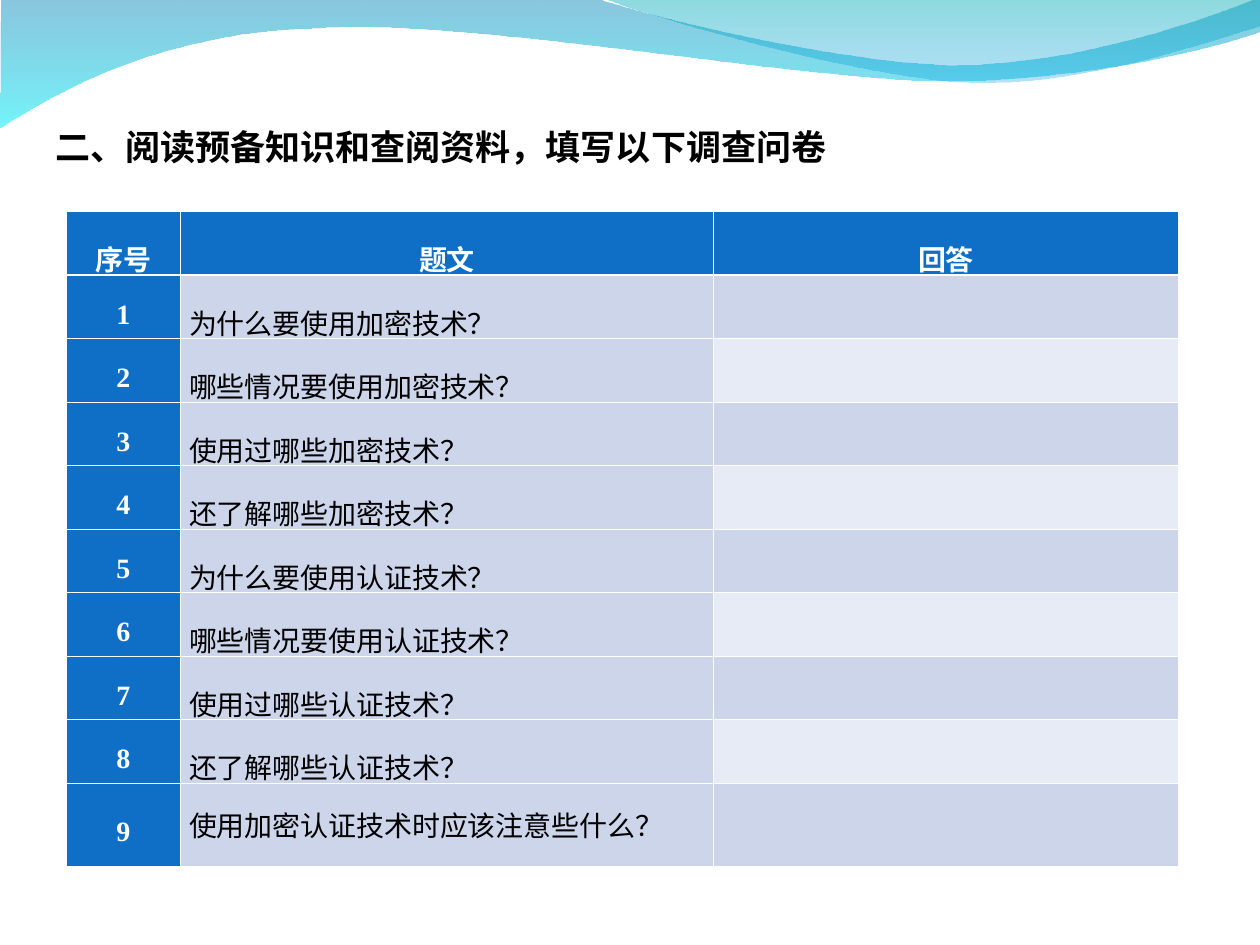
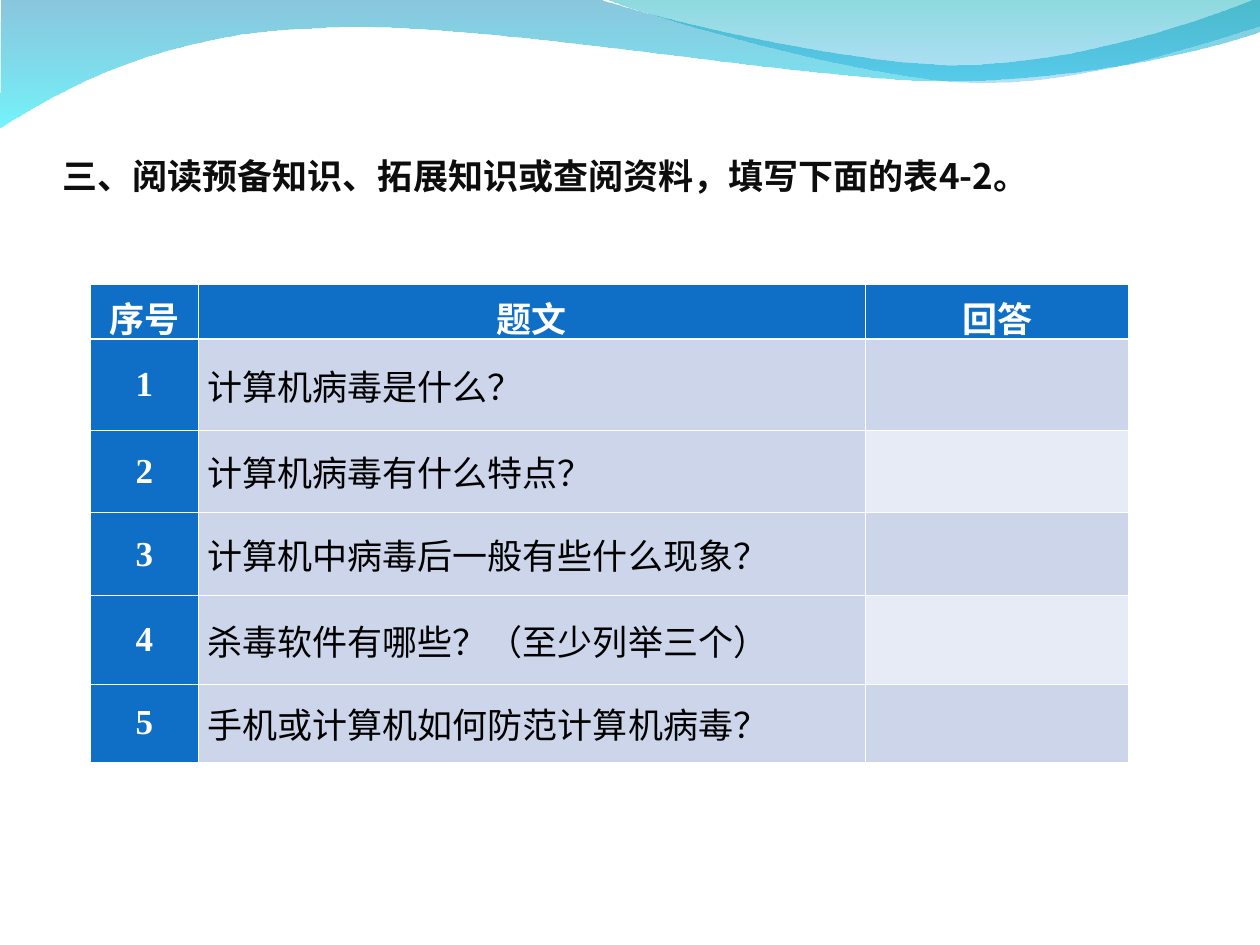
from lxml.etree import SubElement
from pptx import Presentation
from pptx.dml.color import RGBColor
from pptx.enum.text import MSO_ANCHOR as Anchor, MSO_AUTO_SIZE as AutoSize, PP_ALIGN as Align
from pptx.oxml import parse_xml
from pptx.oxml.ns import nsdecls, qn
from pptx.util import Cm, Pt

# Content
HEADINGS = ("序号", "题文", "回答")
SURVEYS = [
    {
        "title": "二、阅读预备知识和查阅资料，填写以下调查问卷",
        "title_box": (0.86, 1.98, 22.91, 1.52),
        "title_insets": (0.25, 0.13, 0.25, 0.13),
        "title_format": {"font": "Calibri", "color": "000000",
                         "align": Align.JUSTIFY, "spacing": 1.5},
        "title_anchor": Anchor.TOP,
        "questions": [
            "为什么要使用加密技术？",
            "哪些情况要使用加密技术？",
            "使用过哪些加密技术？",
            "还了解哪些加密技术？",
            "为什么要使用认证技术？",
            "哪些情况要使用认证技术？",
            "使用过哪些认证技术？",
            "还了解哪些认证技术？",
            "使用加密认证技术时应该注意些什么？",
        ],
        "corner": (1.34, 4.27),
        "columns": (2.29, 10.76, 9.36),
        "rows": [1.28] * 9 + [1.67],
        "size": 16,
        "spacing": 1.5,
        "last_spacing": 1.0,
    },
    {
        "title": "三、阅读预备知识、拓展知识或查阅资料，填写下面的表4-2。",
        "title_box": (1.26, 0.79, 22.86, 3.18),
        "title_insets": (0, 0.13, 0, 0),
        "title_format": {"font": "Noto Sans CJK SC", "color": "0D0D0D",
                         "align": Align.LEFT, "spacing": Pt(34)},
        "title_anchor": Anchor.BOTTOM,
        "questions": [
            "计算机病毒是什么？",
            "计算机病毒有什么特点？",
            "计算机中病毒后一般有些什么现象？",
            "杀毒软件有哪些？（至少列举三个）",
            "手机或计算机如何防范计算机病毒？",
        ],
        "corner": (1.82, 5.74),
        "columns": (2.18, 13.45, 5.3),
        "rows": [1.09, 1.85, 1.65, 1.68, 1.78, 1.57],
        "size": 20,
        "spacing": 1.0,
        "last_spacing": 1.0,
    },
]

# Shared look
CJK, DIGITS = "Noto Sans CJK SC", "Times New Roman"
BLUE, BAND_DARK, BAND_LIGHT = "0F6FC6", "CCD5EA", "E7EBF5"
WHITE, BLACK = "FFFFFF", "000000"
THIN, THICK = 0.45, 1.47
INSET, TIGHT_INSET = 0.13, -0.07  # the tight one keeps low rows from growing
TIGHT_ROW = 1.3

# Each wave: a start, then steps of one point (line) or three points (curve), in cm
WAVES = [
    {
        "start": (0.03, -0.3),
        "steps": [
            [(11.23, -0.33)],
            [(12.12, 0.13), (16.89, 1.3), (19.3, 1.3)],
            [(21.72, 1.3), (24.38, 0.36), (25.45, -0.08)],
            [(25.48, 0.61)],
            [(25.02, 0.81), (22.15, 1.63), (19, 1.63)],
            [(15.85, 1.6), (9.75, 0.41), (6.58, 0.56)],
            [(3.33, 0.61), (1.22, 1.8), (0.01, 2.57)],
        ],
        "stops": [("0079AF", 45), ("00EBF8", 55)],
    },
    {
        "start": (12.17, -0.03),
        "steps": [
            [(12.93, 0.28), (17.32, 1.57), (19.53, 1.65)],
            [(21.74, 1.75), (24.41, 0.81), (25.4, 0.53)],
            [(25.4, 0)],
        ],
        "stops": [("00ADB6", 45), ("009BE5", 30)],
    },
]


def rgb(value):
    return RGBColor.from_string(value)


def write(frame, text, *, font, size, color, bold=False, align=Align.LEFT, spacing=1.0):
    paragraph = frame.paragraphs[0]
    paragraph.alignment = align
    paragraph.line_spacing = spacing
    run = paragraph.add_run()
    run.text = text
    run.font.size = Pt(size)
    run.font.bold = bold
    run.font.color.rgb = rgb(color)
    run.font.name = font
    SubElement(run.font._element, qn("a:ea"), typeface=CJK)


def bend(band, steps):
    """Turn each three-point step of the outline into a cubic curve."""
    outline = next(band.element.iter(qn("a:path")))
    segments = iter(outline.findall(qn("a:lnTo")))
    for step in steps:
        parts = [next(segments) for _ in step]
        if len(parts) == 3:
            parts[0].tag = qn("a:cubicBezTo")
            for part in parts[1:]:
                parts[0].append(part[0])
                outline.remove(part)


def draw_wave(slide, wave):
    outline = [wave["start"]] + [point for step in wave["steps"] for point in step]
    points = [(Cm(x), Cm(y)) for x, y in outline]
    builder = slide.shapes.build_freeform(*points[0])
    builder.add_line_segments(points[1:], close=True)
    band = builder.convert_to_shape()
    bend(band, wave["steps"])
    band.shadow.inherit = False
    band.line.fill.background()
    band.fill.gradient()
    band.fill.gradient_angle = 270
    for position, (stop, (color, _)) in enumerate(zip(band.fill.gradient_stops, wave["stops"])):
        stop.position = position
        stop.color.rgb = rgb(color)
    gradient = band.element.spPr.find(qn("a:gradFill"))
    for tint, (_, opacity) in zip(gradient.iter(qn("a:srgbClr")), wave["stops"]):
        for old in list(tint):
            tint.remove(old)
        SubElement(tint, qn("a:alpha"), val=str(opacity * 1000))
    return band


def share_waves(slide, layout):
    """Put the waves on the layout, in place of its footer fields."""
    for field in list(layout.placeholders)[1:]:
        field.element.getparent().remove(field.element)
    for band in [draw_wave(slide, wave) for wave in WAVES]:
        layout.shapes.element.append(band.element)


def add_title(slide, survey):
    title = slide.shapes.title
    title.left, title.top, title.width, title.height = map(Cm, survey["title_box"])
    frame = title.text_frame
    frame.word_wrap = True
    frame.auto_size = AutoSize.NONE
    frame.vertical_anchor = survey["title_anchor"]
    (frame.margin_left, frame.margin_top,
     frame.margin_right, frame.margin_bottom) = map(Cm, survey["title_insets"])
    write(frame, survey["title"], size=20, bold=True, **survey["title_format"])


def style_cell(cell, fill, top, bottom, bottom_inset=INSET):
    cell.fill.solid()
    cell.fill.fore_color.rgb = rgb(fill)
    cell.vertical_anchor = Anchor.MIDDLE
    cell.margin_left = cell.margin_right = Cm(0.18)
    cell.margin_top, cell.margin_bottom = Cm(INSET), Cm(bottom_inset)
    properties = cell._tc.get_or_add_tcPr()
    for index, (side, width) in enumerate(zip("LRTB", (THIN, THIN, top, bottom))):
        properties.insert(index, parse_xml(
            f'<a:ln{side} {nsdecls("a")} w="{Pt(width)}"><a:solidFill>'
            f'<a:srgbClr val="{WHITE}"/></a:solidFill></a:ln{side}>'))


def add_survey_table(slide, survey):
    columns, rows = survey["columns"], survey["rows"]
    grid = slide.shapes.add_table(
        len(rows), len(columns), *map(Cm, survey["corner"]),
        Cm(sum(columns)), Cm(sum(rows))).table
    grid.horz_banding = False
    for column, width in zip(grid.columns, columns):
        column.width = Cm(width)
    for row, height in zip(grid.rows, rows):
        row.height = Cm(height)

    size, spacing = survey["size"], survey["spacing"]
    label = {"size": size, "spacing": spacing, "color": WHITE, "bold": True,
             "align": Align.CENTER}

    # Header row
    for cell, heading in zip(grid.rows[0].cells, HEADINGS):
        style_cell(cell, BLUE, THIN, THICK, TIGHT_INSET)
        write(cell.text_frame, heading, font=CJK, **label)

    # Numbered questions with empty answers
    for number, question in enumerate(survey["questions"], 1):
        answer_fill = BAND_DARK if number % 2 else BAND_LIGHT
        question_inset = TIGHT_INSET if rows[number] < TIGHT_ROW else INSET
        cells = list(grid.rows[number].cells)
        for cell, fill, inset in zip(cells, (BLUE, BAND_DARK, answer_fill),
                                     (INSET, question_inset, INSET)):
            style_cell(cell, fill, THICK if number == 1 else THIN, THIN, inset)
        is_last = number == len(survey["questions"])
        write(cells[0].text_frame, str(number), font=DIGITS, **label)
        write(cells[1].text_frame, question, font=CJK, size=size, color=BLACK,
              align=Align.JUSTIFY,
              spacing=survey["last_spacing"] if is_last else spacing)


def main():
    deck = Presentation()
    deck.slide_width, deck.slide_height = Cm(25.4), Cm(19.05)
    title_only = deck.slide_layouts[5]
    for position, survey in enumerate(SURVEYS):
        slide = deck.slides.add_slide(title_only)
        if position == 0:
            share_waves(slide, title_only)
        add_title(slide, survey)
        add_survey_table(slide, survey)
    deck.save("out.pptx")


if __name__ == "__main__":
    main()
